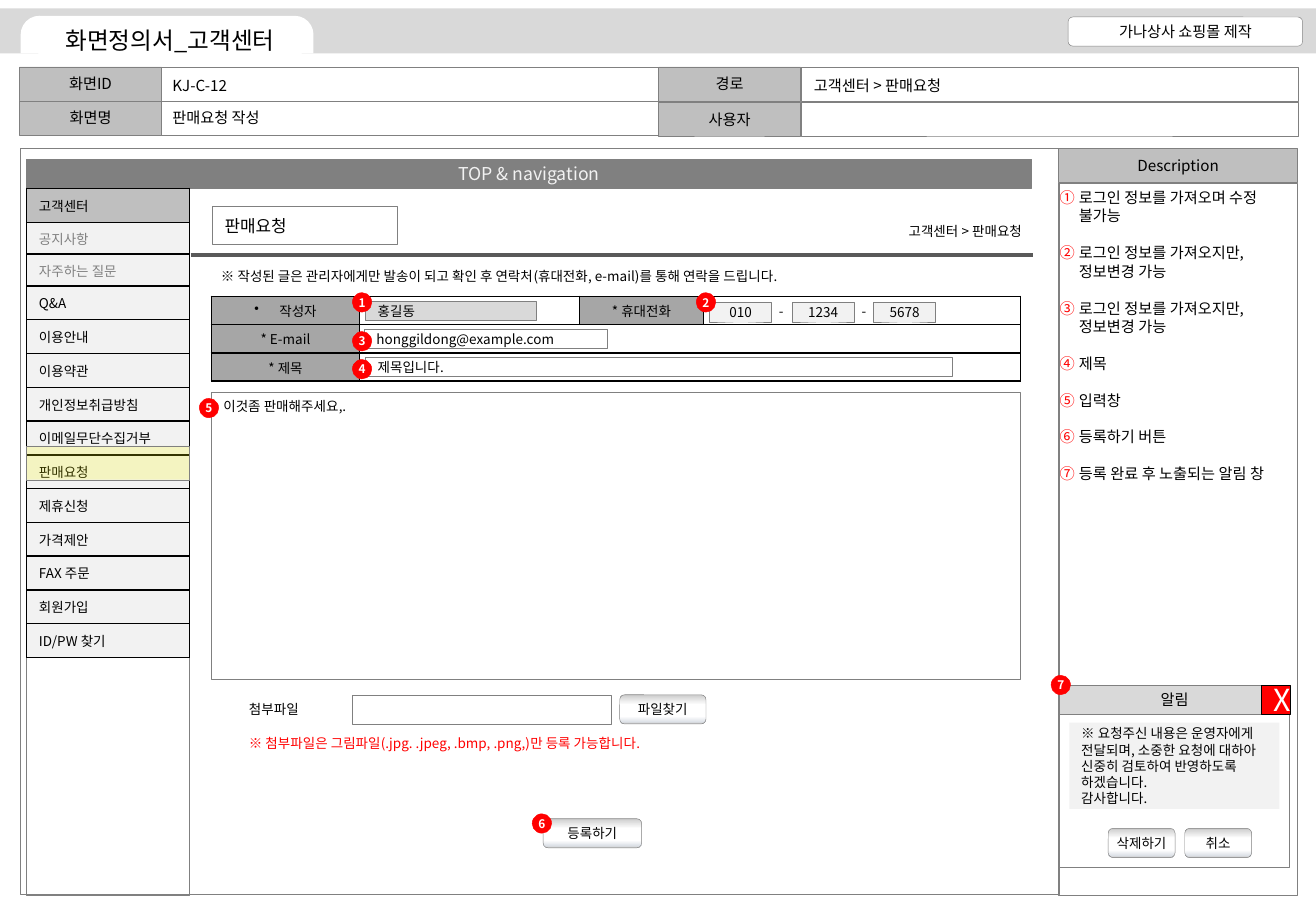
from dataclasses import dataclass
from typing import Optional

from lxml.etree import SubElement
from pptx import Presentation
from pptx.dml.color import RGBColor as RGB
from pptx.enum.shapes import MSO_CONNECTOR as Wire, MSO_SHAPE as Kind
from pptx.enum.text import MSO_ANCHOR as Anchor, PP_ALIGN as Align
from pptx.oxml.ns import qn
from pptx.util import Inches, Pt

FONT = "Noto Sans CJK KR"
COLS, ROWS = 1083, 750  # grid cells of 0.01 inch
BLACK = RGB(0x00, 0x00, 0x00)
WHITE = RGB(0xFF, 0xFF, 0xFF)
RED = RGB(0xFF, 0x00, 0x00)
YELLOW = RGB(0xFF, 0xFF, 0x00)
SLATE = RGB(0x59, 0x59, 0x59)
GRAY = RGB(0x80, 0x80, 0x80)
STEEL = RGB(0xA6, 0xA6, 0xA6)
SILVER = RGB(0xBF, 0xBF, 0xBF)
LIGHT = RGB(0xD9, 0xD9, 0xD9)
PALE = RGB(0xF2, 0xF2, 0xF2)
GLOSS = ((0, SILVER), (8, LIGHT), (34, WHITE), (74, WHITE),
         (93, RGB(0xDD, 0xE1, 0xE7)), (100, RGB(0xCC, 0xCC, 0xCC)))
MID, LEFT, RIGHT = Align.CENTER, Align.LEFT, Align.RIGHT


@dataclass
class Box:
    """One shape; at is left, top, width, height in grid cells."""
    at: tuple
    text: str = ""
    fill: Optional[RGB] = None
    line: Optional[RGB] = GRAY
    size: float = 8
    color: RGB = BLACK
    align: Align = LEFT
    anchor: Anchor = Anchor.MIDDLE
    kind: Optional[Kind] = Kind.RECTANGLE  # None makes a text box
    inset: Optional[float] = None
    wrap: bool = True
    bold: bool = False
    gloss: bool = False
    pitch: Optional[float] = None  # line height in points


def cells(count: float) -> int:
    return Inches(count / 100)


def style(para, size: float, color: RGB, bold: bool = False) -> None:
    for run in para.runs:
        font = run.font
        font.size, font.bold, font.name = Pt(size), bold, FONT
        font.color.rgb = color
        SubElement(run._r.get_or_add_rPr(), qn("a:ea"), typeface=FONT)


def shine(shape) -> None:
    """Fill a button with the glossy gradient."""
    shape.fill.gradient()
    shape.fill.gradient_angle = 270
    stops = shape._element.spPr.find(".//" + qn("a:gsLst"))
    for stop in list(stops):
        stops.remove(stop)
    for pos, color in GLOSS:
        stop = SubElement(stops, qn("a:gs"), pos=str(pos * 1000))
        SubElement(stop, qn("a:srgbClr"), val=str(color))


def draw(slide, box: Box):
    place = [cells(n) for n in box.at]
    if box.kind is None:
        shape = slide.shapes.add_textbox(*place)
    else:
        shape = slide.shapes.add_shape(box.kind, *place)
        shape.shadow.inherit = False
        if box.gloss:
            shine(shape)
        elif box.fill is None:
            shape.fill.background()
        else:
            shape.fill.solid()
            shape.fill.fore_color.rgb = box.fill
        if box.line is None:
            shape.line.fill.background()
        else:
            shape.line.color.rgb = box.line
            shape.line.width = Pt(0.25)
    if box.text:
        frame = shape.text_frame
        frame.text = box.text
        frame.word_wrap, frame.vertical_anchor = box.wrap, box.anchor
        if box.inset is not None:
            frame.margin_left = frame.margin_right = cells(box.inset)
            frame.margin_top = frame.margin_bottom = cells(box.inset)
        for para in frame.paragraphs:
            para.alignment = box.align
            if box.pitch:
                para.line_spacing = Pt(box.pitch)
            style(para, box.size, box.color, box.bold)
    return shape


def number(shape, gap: float) -> None:
    """Give each paragraph a red circled number."""
    for para in shape.text_frame.paragraphs:
        para.space_after = Pt(gap)
        props = para._p.get_or_add_pPr()
        props.set("marL", str(cells(16)))
        props.set("indent", str(-cells(16)))
        tint = SubElement(props, qn("a:buClr"))
        SubElement(tint, qn("a:srgbClr"), val=str(RED))
        SubElement(props, qn("a:buAutoNum"), type="circleNumDbPlain")


def write(cell, text: str, fill: RGB, color: RGB, align: Align, pad: float) -> None:
    props = cell._tc.get_or_add_tcPr()
    for side in "LRTB":
        edge = SubElement(props, qn("a:ln" + side), w=str(Pt(1)))
        ink = SubElement(edge, qn("a:solidFill"))
        SubElement(ink, qn("a:srgbClr"), val=str(BLACK))
    cell.fill.solid()
    cell.fill.fore_color.rgb = fill
    cell.margin_top = cell.margin_bottom = cells(pad)
    cell.vertical_anchor = Anchor.MIDDLE
    cell.text = text
    para = cell.text_frame.paragraphs[0]
    para.alignment = align
    style(para, 8, color)
    if not text:
        SubElement(para._p, qn("a:endParaRPr"), sz="800")


def grid(slide, left: float, top: float, wide: list, tall: list):
    table = slide.shapes.add_table(len(tall), len(wide), cells(left), cells(top),
                                   cells(sum(wide)), cells(sum(tall))).table
    table.first_row = table.horz_banding = False
    for col, size in zip(table.columns, wide):
        col.width = cells(size)
    for row, size in zip(table.rows, tall):
        row.height = cells(size)
    return table


def label(at: tuple, text: str, **more) -> Box:
    return Box(at, text, kind=None, **more)


def head(at: tuple, text: str, fill: RGB = SILVER) -> Box:
    return Box(at, text, fill, size=9, align=MID)


def button(left: float, top: float, wide: float, text: str) -> Box:
    return Box((left, top, wide, 24), text, align=MID, inset=0,
               kind=Kind.ROUNDED_RECTANGLE, gloss=True)


MENU = ("고객센터", "공지사항", "자주하는 질문", "Q&A", "이용안내", "이용약관",
        "개인정보취급방침", "이메일무단수집거부", "판매요청", "제휴신청",
        "가격제안", "FAX 주문", "회원가입", "ID/PW 찾기")
FORM = ((" 작성자", "", "* 휴대전화", ""), ("* E-mail", "", "", ""), ("* 제목", "", "", ""))
HEADS = ((16, 55, "화면ID"), (542, 55, "경로"), (16, 83, "화면명"), (542, 84, "사용자"))
BADGES = ((290, 241), (573, 241), (290, 273), (290, 296), (164, 328), (438, 670), (865, 556))
NOTES = ("로그인 정보를 가져오며 수정 불가능", "로그인 정보를 가져오지만, 정보변경 가능",
         "로그인 정보를 가져오지만, 정보변경 가능", "제목", "입력창", "등록하기 버튼",
         "등록 완료 후 노출되는 알림 창")
FRAME = [
    Box((17, 122, 855, 614)),
    head((871, 122, 197, 28), "Description"),
    Box((871, 151, 197, 586)),
    Box((0, 7, COLS, 37), fill=LIGHT, line=None),
    Box((22, 155, 134, 582)),
    Box((22, 131, 827, 24), "TOP & navigation", GRAY, size=10.5, color=PALE, align=MID),
    Box((879, 14, 193, 24), "가나상사 쇼핑몰 제작", WHITE, size=9, align=MID,
        kind=Kind.ROUNDED_RECTANGLE),
]
TITLE = Box((30, 21, 220, 24), "화면정의서_고객센터", WHITE, None, 14, align=MID,
            kind=Kind.ROUNDED_RECTANGLE)
BODY = [
    Box((175, 170, 152, 31), "판매요청", size=10),
    label((725, 178, 126, 24), "고객센터 > 판매요청", align=RIGHT, wrap=False),
    Box((174, 323, 666, 236), "이것좀 판매해주세요,.", anchor=Anchor.TOP),
    Box((300, 271, 200, 16), "honggildong@example.com"),
    Box((301, 248, 140, 16), "홍길동", LIGHT),
    Box((301, 294, 483, 16), "제목입니다."),
    *(Box((x, 249, 51, 16), part, PALE, align=MID)
      for x, part in ((584, "010"), (652, "1234"), (719, "5678"))),
    *(label((x, 247, 6, 18), "-", align=MID, inset=0) for x in (640, 708)),
    label((172, 218, 575, 18), "※ 작성된 글은 관리자에게만 발송이 되고 확인 후 "
          "연락처(휴대전화, e-mail)를 통해 연락을 드립니다."),
    label((132, 84, 100, 25), "판매요청 작성", size=9, wrap=False),
    label((660, 58, 139, 25), "고객센터 > 판매요청", size=9, wrap=False),
    label((132, 58, 65, 25), "KJ-C-12", size=9, wrap=False),
    Box((290, 572, 213, 24)),
    label((195, 572, 65, 24), "첨부파일", wrap=False),
    label((195, 603, 575, 18), "※ 첨부파일은 그림파일(.jpg. .jpeg, .bmp, .png,)만 등록 가능합니다.",
          color=RED),
    Box((872, 588, 189, 126), fill=WHITE),
    head((872, 564, 189, 24), "알림", LIGHT),
    Box((1038, 564, 24, 24), "X", RED, BLACK, 18, WHITE, MID),
    Box((880, 595, 173, 71), "※ 요청주신 내용은 운영자에게 전달되며, 소중한 요청에 대하아 "
        "신중히 검토하여 반영하도록 하겠습니다.\n감사합니다.", PALE, None, pitch=9.6),
    button(447, 674, 81, "등록하기"), button(510, 572, 71, "파일찾기"),
    button(912, 682, 55, "삭제하기"), button(975, 682, 55, "취소"),
]


def main() -> None:
    deck = Presentation()
    deck.slide_width, deck.slide_height = cells(COLS), cells(ROWS)
    slide = deck.slides.add_slide(deck.slide_layouts[6])

    for left, top, text in HEADS:
        draw(slide, head((left, top, 117, 28), text))
        draw(slide, Box((left + 117, top, 409, 28)))
    for box in FRAME:
        draw(slide, box)
    tab = draw(slide, Box((17, 13, 241, 31), fill=WHITE, line=None,
                          kind=Kind.ROUND_2_SAME_RECTANGLE))
    tab.adjustments[0] = 0.5
    draw(slide, TITLE)

    menu = grid(slide, 22, 155, [134], [28, 26, 26] + [27.8] * 11)
    for i, text in enumerate(MENU):
        write(menu.cell(i, 0), text, PALE if i else SILVER,
              GRAY if i in (1, 2) else BLACK, LEFT, 5)
    rule = slide.shapes.add_connector(Wire.STRAIGHT, cells(157), cells(210),
                                      cells(850), cells(210))
    rule.line.color.rgb, rule.line.width = SLATE, Pt(2.25)
    SubElement(rule._element.spPr, qn("a:effectLst"))

    form = grid(slide, 174, 244, [122, 181, 102, 261], [23.3] * 3)
    for i, row in enumerate(FORM):
        for j, text in enumerate(row):
            write(form.cell(i, j), text, STEEL if text else WHITE, BLACK, MID, 2)
    for i in (1, 2):
        form.cell(i, 1).merge(form.cell(i, 3))
    props = form.cell(0, 0).text_frame.paragraphs[0]._p.get_or_add_pPr()
    props.set("marL", str(cells(18)))
    props.set("indent", str(-cells(18)))
    SubElement(props, qn("a:buChar"), char="•")

    for box in BODY:
        draw(slide, box)
    notes = draw(slide, label((872, 155, 197, 583), "\n".join(NOTES), size=9,
                              anchor=Anchor.TOP, inset=0, pitch=10.9))
    number(notes, 10.9)
    for i, spot in enumerate(BADGES, 1):
        draw(slide, Box((*spot, 16, 16), str(i), RED, RED, 7, WHITE, MID,
                        kind=Kind.OVAL, inset=0, bold=True))
    mark = draw(slide, Box((22, 367, 134, 28), fill=YELLOW))
    tint = mark._element.spPr.find(qn("a:solidFill"))[0]
    SubElement(tint, qn("a:alpha"), val="20000")
    deck.save("out.pptx")


if __name__ == "__main__":
    main()
